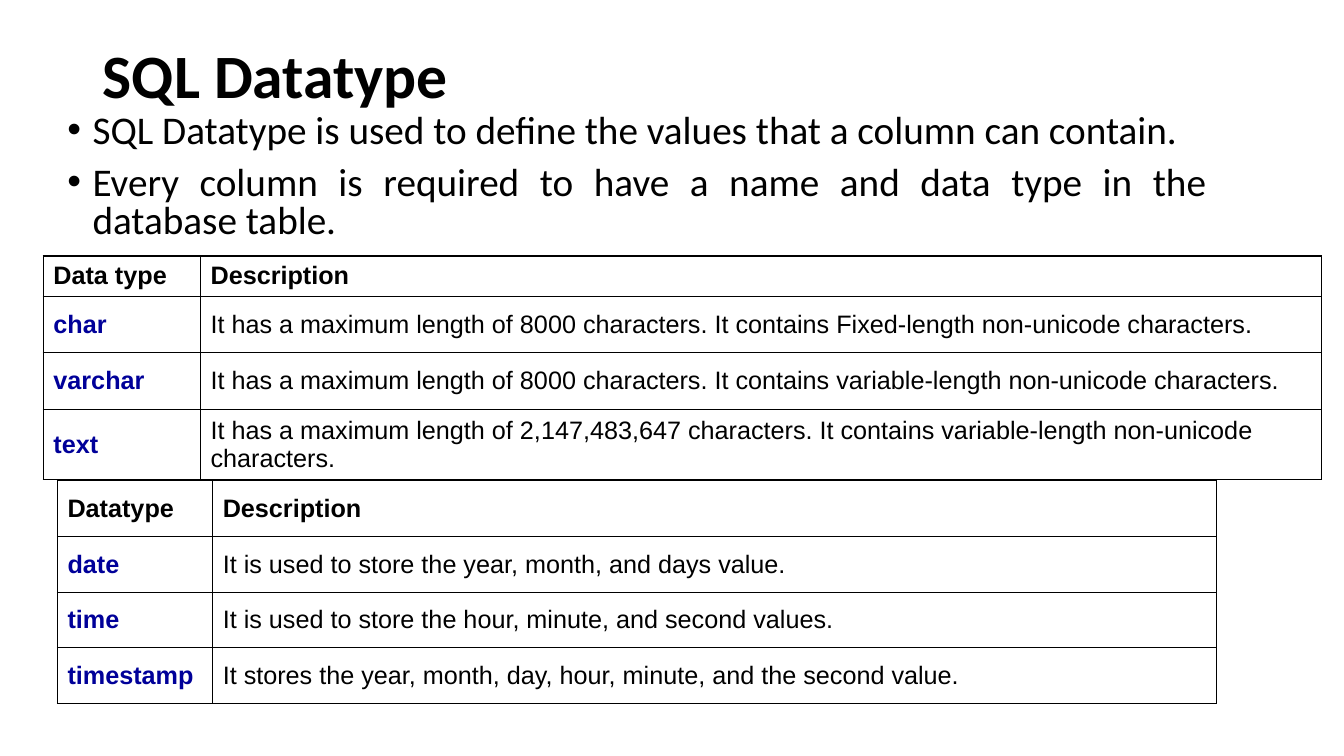
from dataclasses import dataclass

from pptx import Presentation
from pptx.dml.color import RGBColor
from pptx.enum import text
from pptx.oxml import ns, xmlchemy
from pptx.util import Pt

BLACK = RGBColor(0x00, 0x00, 0x00)
NAVY = RGBColor(0x00, 0x00, 0x99)


@dataclass
class TypeTable:
    left: float
    top: float
    column_widths: tuple[float, float]
    row_heights: list[float]
    rows: list[tuple[str, str]]


BULLETS = [
    "SQL Datatype is used to define the values that a column can contain.",
    "Every column is required to have a name and data type in the database table.",
]

TABLES = [
    TypeTable(30.96, 182.9, (112.3, 800.6), [23] + [40.3] * 3, [
        ("Data type", "Description"),
        ("char", "It has a maximum length of 8000 characters. "
                 "It contains Fixed-length non-unicode characters."),
        ("varchar", "It has a maximum length of 8000 characters. "
                    "It contains variable-length non-unicode characters."),
        ("text", "It has a maximum length of 2,147,483,647 characters. "
                 "It contains variable-length non-unicode characters."),
    ]),
    TypeTable(41.04, 343.4, (110.9, 717.1), [39.8] * 4, [
        ("Datatype", "Description"),
        ("date", "It is used to store the year, month, and days value."),
        ("time", "It is used to store the hour, minute, and second values."),
        ("timestamp", "It stores the year, month, day, hour, minute, "
                      "and the second value."),
    ]),
]


def add_run(paragraph, content: str, size: float, name: str,
            color: RGBColor = BLACK, bold: bool = False) -> None:
    run = paragraph.add_run()
    run.text = content
    run.font.size = Pt(size)
    run.font.name = name
    run.font.bold = bold
    run.font.color.rgb = color


def add_element(parent, tag: str, **attributes: str):
    element = xmlchemy.OxmlElement(tag)
    for key, value in attributes.items():
        element.set(key, value)
    parent.append(element)
    return element


def set_bullet(paragraph) -> None:
    properties = paragraph._p.get_or_add_pPr()
    properties.set("marL", str(Pt(18)))
    properties.set("indent", str(-Pt(18)))
    bullet_color = add_element(properties, "a:buClr")
    add_element(bullet_color, "a:srgbClr", val=str(BLACK))
    add_element(properties, "a:buFont", typeface="Arial")
    add_element(properties, "a:buChar", char="•")


def set_borders(cell) -> None:
    properties = cell._tc.get_or_add_tcPr()
    for side in "LRTB":
        line = add_element(properties, f"a:ln{side}", w=str(Pt(1)))
        fill = add_element(line, "a:solidFill")
        add_element(fill, "a:srgbClr", val=str(BLACK))


def format_title(title) -> None:
    title.left, title.top = Pt(66.24), Pt(28.8)
    title.width, title.height = Pt(828), Pt(104.4)
    frame = title.text_frame
    frame.word_wrap = True
    frame.auto_size = text.MSO_AUTO_SIZE.NONE
    frame.vertical_anchor = text.MSO_ANCHOR.TOP
    paragraph = frame.paragraphs[0]
    paragraph.alignment = text.PP_ALIGN.LEFT
    paragraph.line_spacing = 0.9
    add_run(paragraph, "SQL Datatype", 44, "Calibri", bold=True)


def add_bullets(slide, bullets: list[str]) -> None:
    box = slide.shapes.add_textbox(Pt(41.04), Pt(78.48), Pt(828), Pt(104.4))
    frame = box.text_frame
    frame.word_wrap = True
    for index, bullet in enumerate(bullets):
        paragraph = frame.add_paragraph() if index else frame.paragraphs[0]
        set_bullet(paragraph)
        paragraph.alignment = text.PP_ALIGN.JUSTIFY
        paragraph.line_spacing = 0.8
        if index:
            paragraph.space_before = Pt(10)
        add_run(paragraph, bullet, 28, "Calibri")


def add_type_table(slide, data: TypeTable) -> None:
    frame = slide.shapes.add_table(
        len(data.rows), len(data.column_widths), Pt(data.left), Pt(data.top),
        Pt(sum(data.column_widths)), Pt(sum(data.row_heights)))
    table = frame.table
    table.first_row = table.horz_banding = False
    for column, width in zip(table.columns, data.column_widths):
        column.width = Pt(width)
    for row, height in zip(table.rows, data.row_heights):
        row.height = Pt(height)
    for row_index, row in enumerate(data.rows):
        for column_index, content in enumerate(row):
            cell = table.cell(row_index, column_index)
            set_borders(cell)
            cell.fill.background()
            cell.vertical_anchor = text.MSO_ANCHOR.MIDDLE
            is_header = row_index == 0
            is_type_name = column_index == 0 and not is_header
            add_run(cell.text_frame.paragraphs[0], content, 18, "Arial",
                    NAVY if is_type_name else BLACK, is_header or is_type_name)


def main() -> None:
    presentation = Presentation()
    presentation.slide_width, presentation.slide_height = Pt(960), Pt(540)
    slide = presentation.slides.add_slide(presentation.slide_layouts[5])
    format_title(slide.shapes.title)
    add_bullets(slide, BULLETS)
    for data in TABLES:
        add_type_table(slide, data)
    presentation.save("out.pptx")


if __name__ == "__main__":
    main()
